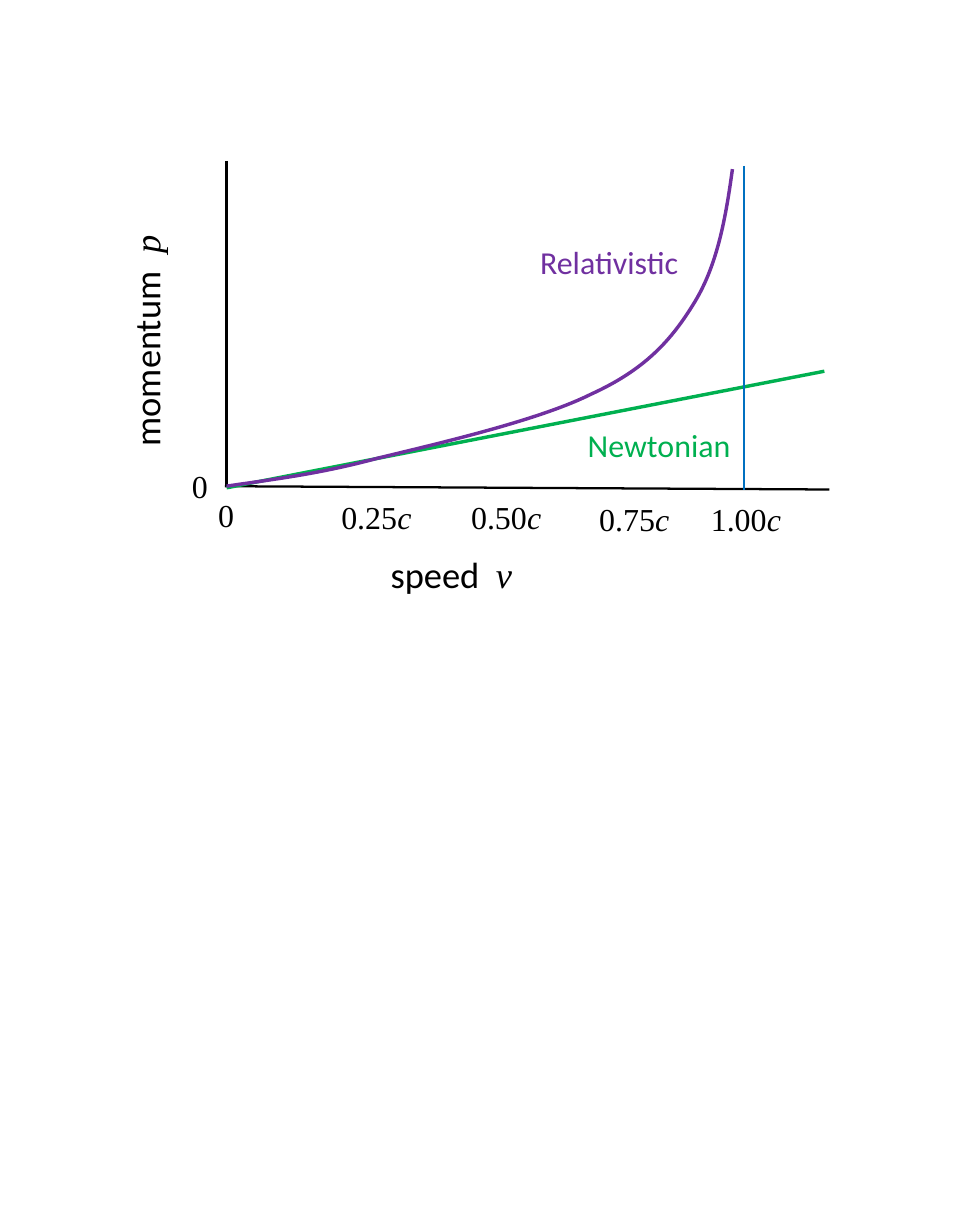
from lxml.etree import SubElement
from pptx import Presentation
from pptx.dml.color import RGBColor
from pptx.enum.shapes import MSO_CONNECTOR
from pptx.oxml.ns import qn
from pptx.util import Inches, Pt

BLACK, GREEN, BLUE, PURPLE = "000000", "00B050", "0070C0", "7030A0"
SERIF, SANS = "Times New Roman", "Calibri"


def color(value):
    return RGBColor.from_string(value)


def add_label(left, top, width, height, size, hue, runs, rotation=0):
    sp = s.shapes.add_textbox(*map(Inches, (left, top, width, height)))
    sp.rotation = rotation
    tf = sp.text_frame
    tf.word_wrap = False
    p = tf.paragraphs[0]
    for text, name, italic in runs:
        r = p.add_run()
        r.text = text
        r.font.color.rgb = color(hue)
        for key, value in {"name": name, "size": Pt(size), "italic": italic}.items():
            setattr(r.font, key, value)


prs = Presentation()
prs.slide_width, prs.slide_height = Inches(189 / 32), Inches(7.5)
s = prs.slides.add_slide(prs.slide_layouts[6])

lines = [
    (1.38, 0.98, 1.38, 2.96, BLACK, 1),
    (1.37, 2.96, 5.05, 2.98, BLACK, 1),
    (1.38, 2.97, 5.02, 2.26, GREEN, 1.5),
    (4.53, 1.01, 4.53, 2.98, BLUE, 1),
]
for x1, y1, x2, y2, hue, width in lines:
    line = s.shapes.add_connector(MSO_CONNECTOR.STRAIGHT, *map(Inches, (x1, y1, x2, y2)))
    line.line.color.rgb = color(hue)
    line.line.width = Pt(width)
    SubElement(line._element.spPr, qn("a:effectLst"))

curve_points = [
    (1.38, 2.96),
    (1.65, 2.92), (1.93, 2.89), (2.3, 2.79),
    (2.67, 2.7), (3.28, 2.56), (3.6, 2.4),
    (3.93, 2.25), (4.09, 2.07), (4.23, 1.84),
    (4.37, 1.61), (4.42, 1.32), (4.46, 1.03),
]
points = [(Inches(x), Inches(y)) for x, y in curve_points]
builder = s.shapes.build_freeform(*points[0])
builder.add_line_segments(points[1:], close=False)
curve = builder.convert_to_shape()
curve.shadow.inherit = False
curve.fill.background()
curve.line.color.rgb = color(PURPLE)
curve.line.width = Pt(1.5)

segments = list(curve._element.iter(qn("a:lnTo")))
outline = segments[0].getparent()
for i in range(0, len(segments), 3):
    bezier = SubElement(outline, qn("a:cubicBezTo"))
    for segment in segments[i:i + 3]:
        bezier.append(segment[0])
        outline.remove(segment)

for left, top in [(1.07, 2.79), (1.23, 2.97)]:
    add_label(left, top, 0.3, 0.34, 14, BLACK, [("0", SERIF, False)])

ticks = [("0.25", 1.98, 2.98), ("0.50", 2.77, 2.98), ("0.75", 3.55, 2.99), ("1.00", 4.23, 2.99)]
for value, left, top in ticks:
    add_label(left, top, 0.63, 0.34, 14, BLACK, [(value, SERIF, False), ("c", SERIF, True)])

add_label(0.14, 1.88, 1.5, 0.37, 16, BLACK, [("momentum", SANS, False), ("  p", SERIF, True)], 270)
add_label(2.28, 3.31, 0.95, 0.37, 16, BLACK, [("speed  ", SANS, False), ("v", SERIF, True)])
add_label(3.48, 2.54, 1.08, 0.34, 14, GREEN, [("Newtonian", SANS, False)])
add_label(3.19, 1.43, 1.06, 0.34, 14, PURPLE, [("Relativistic", SANS, False)])

prs.save("out.pptx")
